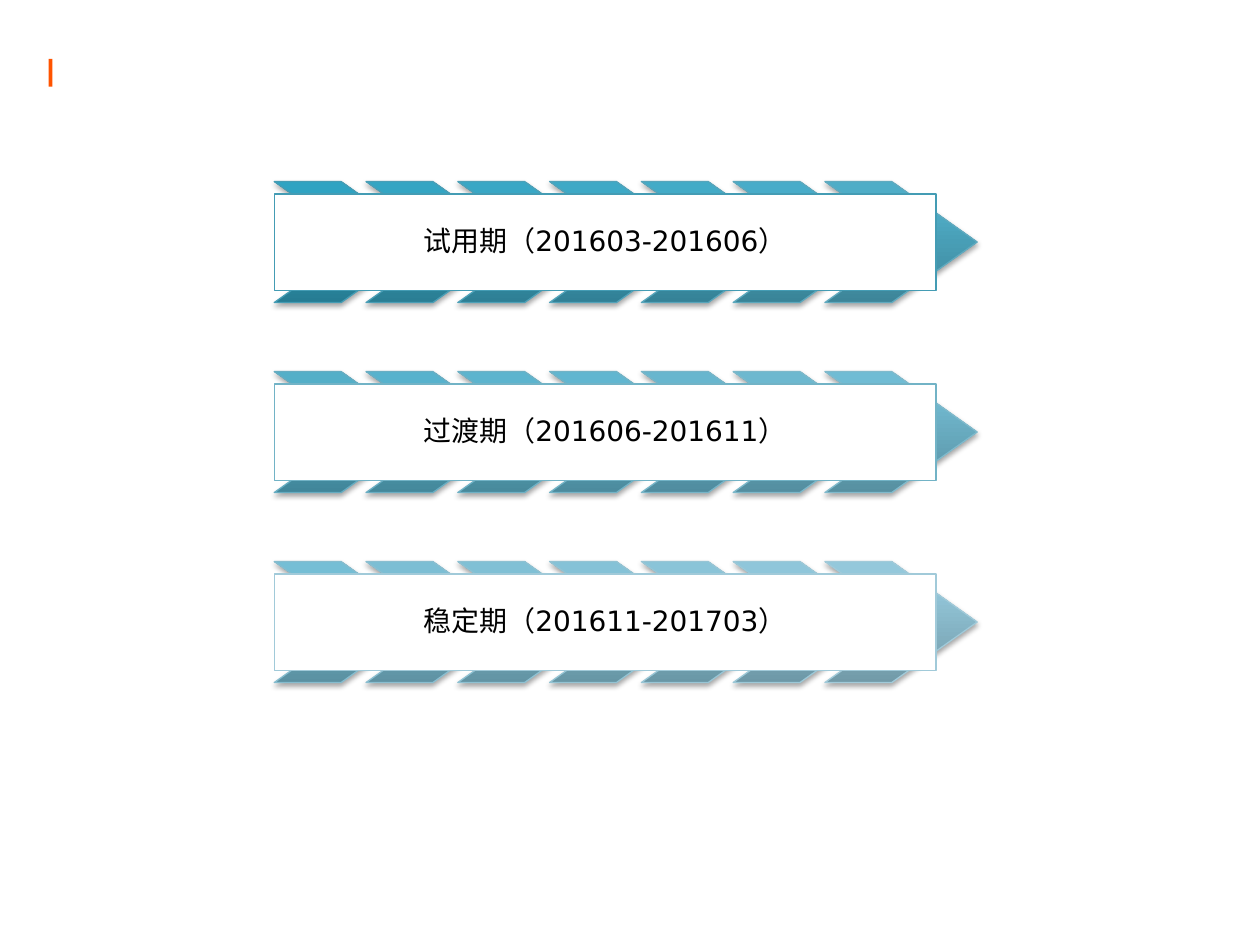
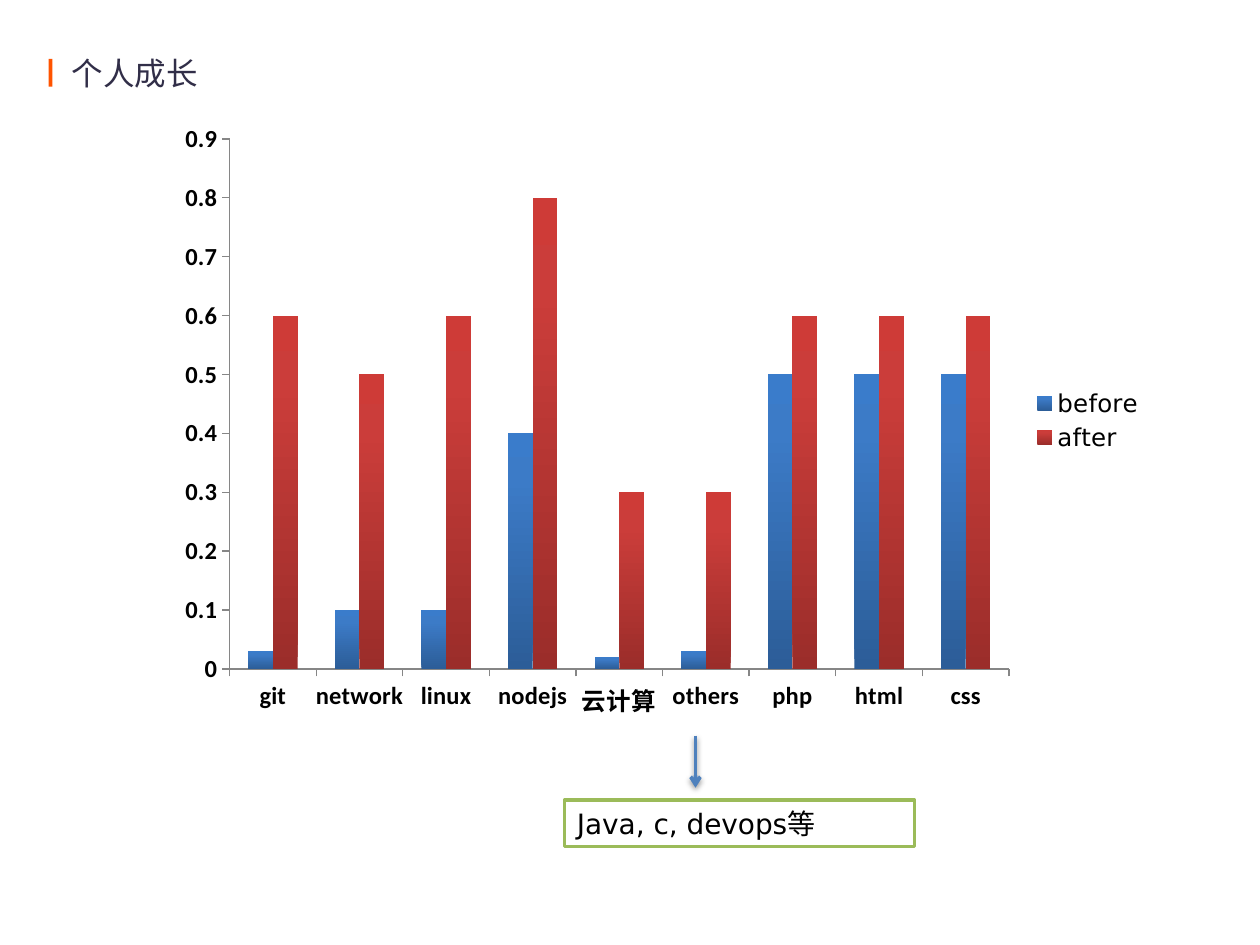
"""Build two slides: a three-phase timeline and a personal growth chart."""
from dataclasses import dataclass

from lxml.etree import SubElement
from pptx import Presentation
from pptx.chart.data import CategoryChartData as ChartData
from pptx.dml.color import RGBColor as Rgb
from pptx.enum.chart import XL_CHART_TYPE as ChartType
from pptx.enum.chart import XL_LEGEND_POSITION as LegendPosition
from pptx.enum.chart import XL_TICK_MARK as TickMark
from pptx.enum.shapes import MSO_CONNECTOR as Connector
from pptx.enum.shapes import MSO_SHAPE as Shape
from pptx.enum.text import MSO_ANCHOR as Anchor
from pptx.enum.text import PP_ALIGN as Align
from pptx.oxml.ns import qn
from pptx.util import Cm, Pt


@dataclass(frozen=True)
class Theme:
    font: str = "DejaVu Sans"
    axis_font: str = "Calibri"
    title_size: int = 18
    text_size: int = 16
    chart_size: int = 14
    title: str = "312E48"
    text: str = "000000"
    paper: str = "FFFFFF"
    accent: str = "FF5400"
    arrow: str = "4F81BD"
    note: str = "9BBB59"
    axis: str = "868686"
    stops: tuple = (0, 80, 100)
    first_fill: tuple = ("267C93", "32A1BE", "2FA3C2")
    last_fill: tuple = ("729AA8", "94C8DB", "93C9DD")
    first_line: str = "449CB4"
    last_line: str = "A1CAD9"
    series: tuple = (("2C5D98", "3C7BC7", "3A7CCB"), ("9B2D2A", "CB3D3A", "CE3B37"))


def blend(start, end, share):
    pairs = zip(Rgb.from_string(start), Rgb.from_string(end))
    return str(Rgb(*(round(a + (b - a) * share) for a, b in pairs)))


def write(frame, text, *, font, size, color, align=Align.LEFT, anchor=Anchor.MIDDLE,
          spacing=1.0, inset=None):
    frame.word_wrap = True
    frame.vertical_anchor = anchor
    if inset is not None:
        frame.margin_left = frame.margin_right = Cm(inset)
        frame.margin_top = frame.margin_bottom = Cm(inset)
    para = frame.paragraphs[0]
    para.alignment = align
    para.line_spacing = spacing
    span = para.add_run()
    span.text = text
    span.font.name = font
    span.font.size = Pt(size)
    span.font.color.rgb = Rgb.from_string(color)


def paint_gradient(fill, properties, colors, stops):
    fill.gradient()
    fill.gradient_angle = 90
    stop_list = properties.find(qn("a:gradFill")).find(qn("a:gsLst"))
    for stop in list(stop_list):
        stop_list.remove(stop)
    for position, color in zip(stops, colors):
        stop = SubElement(stop_list, qn("a:gs"), pos=str(position * 1000))
        SubElement(stop, qn("a:srgbClr"), val=color)


def cast_shadow(properties, opacity, distance):
    for effects in properties.findall(qn("a:effectLst")):
        properties.remove(effects)
    effects = SubElement(properties, qn("a:effectLst"))
    shadow = SubElement(effects, qn("a:outerShdw"), blurRad=str(Pt(3.1)),
                        dist=str(Pt(distance)), dir="5400000", rotWithShape="0")
    color = SubElement(shadow, qn("a:srgbClr"), val="000000")
    SubElement(color, qn("a:alpha"), val=str(opacity * 1000))


def place_plot(chart, **sizes):
    area = chart._chartSpace.chart.plotArea
    for layout in area.findall(qn("c:layout")):
        area.remove(layout)
    layout = SubElement(area, qn("c:layout"))
    area.insert(0, layout)
    manual = SubElement(layout, qn("c:manualLayout"))
    SubElement(manual, qn("c:layoutTarget"), val="inner")
    for side in ("xMode", "yMode"):
        SubElement(manual, qn(f"c:{side}"), val="edge")
    for side, size in sizes.items():
        SubElement(manual, qn(f"c:{side}"), val=str(size))


class SlideMaker:
    def __init__(self, deck, theme):
        self.deck = deck
        self.theme = theme
        self.page = None

    def add_page(self, title=None):
        self.page = self.deck.slides.add_slide(self.deck.slide_layouts[5])
        holder = self.page.shapes.title
        if title:
            holder.left, holder.top = Cm(1.19), Cm(0.91)
            holder.width, holder.height = Cm(8.81), Cm(1.12)
            write(holder.text_frame, title, font=self.theme.font,
                  size=self.theme.title_size, color=self.theme.title)
        else:
            holder.element.getparent().remove(holder.element)
        self.add_box(0.98, 1.19, 0.08, 0.56, self.theme.accent)

    def add_box(self, left, top, width, height, fill, line=None, weight=0.75,
                kind=Shape.RECTANGLE):
        box = self.page.shapes.add_shape(kind, Cm(left), Cm(top), Cm(width), Cm(height))
        box.shadow.inherit = False
        box.fill.solid()
        box.fill.fore_color.rgb = Rgb.from_string(fill)
        if line:
            box.line.color.rgb = Rgb.from_string(line)
            box.line.width = Pt(weight)
        else:
            box.line.fill.background()
        return box

    def add_label_box(self, label, *place, line, weight=0.75, **style):
        box = self.add_box(*place, self.theme.paper, line, weight)
        write(box.text_frame, label, font=self.theme.font, size=self.theme.text_size,
              color=self.theme.text, **style)

    def add_chevron(self, left, top, share):
        theme = self.theme
        colors = [blend(a, b, share) for a, b in zip(theme.first_fill, theme.last_fill)]
        line = blend(theme.first_line, theme.last_line, share)
        chevron = self.add_box(left, top, 3.07, 2.44, colors[0], line, kind=Shape.CHEVRON)
        chevron.adjustments[0] = 0.706
        properties = chevron.element.spPr
        paint_gradient(chevron.fill, properties, colors, theme.stops)
        cast_shadow(properties, 35, 1.8)

    def add_phase(self, row, rows, label, count=7):
        left, top = 5.53, 3.66 + row * 3.83
        for column in range(count):
            share = (row * count + column) / (rows * count - 1)
            self.add_chevron(left + column * 1.85, top, share)
        line = blend(self.theme.first_line, self.theme.last_line, row / (rows - 1))
        self.add_label_box(label, left, top + 0.25, 13.34, 1.95, line=line,
                           align=Align.CENTER, spacing=0.9, inset=0.1)

    def add_down_arrow(self, x, top, bottom):
        arrow = self.page.shapes.add_connector(
            Connector.STRAIGHT, Cm(x), Cm(top), Cm(x), Cm(bottom))
        arrow.line.color.rgb = Rgb.from_string(self.theme.arrow)
        arrow.line.width = Pt(2)
        properties = arrow._element.spPr
        SubElement(properties.find(qn("a:ln")), qn("a:tailEnd"), type="arrow")
        cast_shadow(properties, 38, 1.6)

    def add_columns(self, categories, series_values, left, top, width, height):
        theme = self.theme
        data = ChartData(number_format="General")
        data.categories = categories
        for name, values in series_values.items():
            data.add_series(name, values)
        chart = self.page.shapes.add_chart(
            ChartType.COLUMN_CLUSTERED, Cm(left), Cm(top), Cm(width), Cm(height), data).chart
        chart.has_title = False
        chart.font.name = theme.font
        chart.font.size = Pt(theme.title_size)
        chart.font.color.rgb = Rgb.from_string(theme.text)
        chart.has_legend = True
        chart.legend.position = LegendPosition.RIGHT
        chart.legend.include_in_layout = False
        chart.legend.font.size = Pt(theme.chart_size)
        chart.legend.font.name = theme.font
        for axis in (chart.category_axis, chart.value_axis):
            axis.has_major_gridlines = False
            axis.major_tick_mark = TickMark.OUTSIDE
            axis.minor_tick_mark = TickMark.NONE
            axis.format.line.color.rgb = Rgb.from_string(theme.axis)
            axis.tick_labels.font.name = theme.axis_font
            axis.tick_labels.font.size = Pt(theme.chart_size)
            axis.tick_labels.font.bold = True
        chart.value_axis.minimum_scale = 0
        chart.value_axis.maximum_scale = 0.9
        chart.value_axis.major_unit = 0.1
        plot = chart.plots[0]
        plot.gap_width = 150
        plot.overlap = 0
        plot.vary_by_categories = False
        for series, colors in zip(plot.series, theme.series):
            properties = series._element.get_or_add_spPr()
            paint_gradient(series.format.fill, properties, colors, theme.stops)
        place_plot(chart, x=0.065, y=0.045, w=0.786, h=0.857)


def main():
    deck = Presentation()
    deck.slide_width, deck.slide_height = Cm(25.4), Cm(19.05)
    maker = SlideMaker(deck, Theme())

    maker.add_page()
    phases = ("试用期（201603-201606）", "过渡期（201606-201611）", "稳定期（201611-201703）")
    for row, label in enumerate(phases):
        maker.add_phase(row, len(phases), label)

    maker.add_page("个人成长")
    skills = ("git", "network", "linux", "nodejs", "云计算", "others", "php", "html", "css")
    levels = {
        "before": (0.03, 0.1, 0.1, 0.4, 0.02, 0.03, 0.5, 0.5, 0.5),
        "after": (0.6, 0.5, 0.6, 0.8, 0.3, 0.3, 0.6, 0.6, 0.6),
    }
    maker.add_columns(skills, levels, 3.33, 2.24, 19.99, 12.47)
    maker.add_down_arrow(14.02, 14.83, 15.88)
    maker.add_label_box("Java, c, devops等", 11.38, 16.13, 7.06, 0.94,
                        line=maker.theme.note, weight=2)
    deck.save("out.pptx")


if __name__ == "__main__":
    main()
